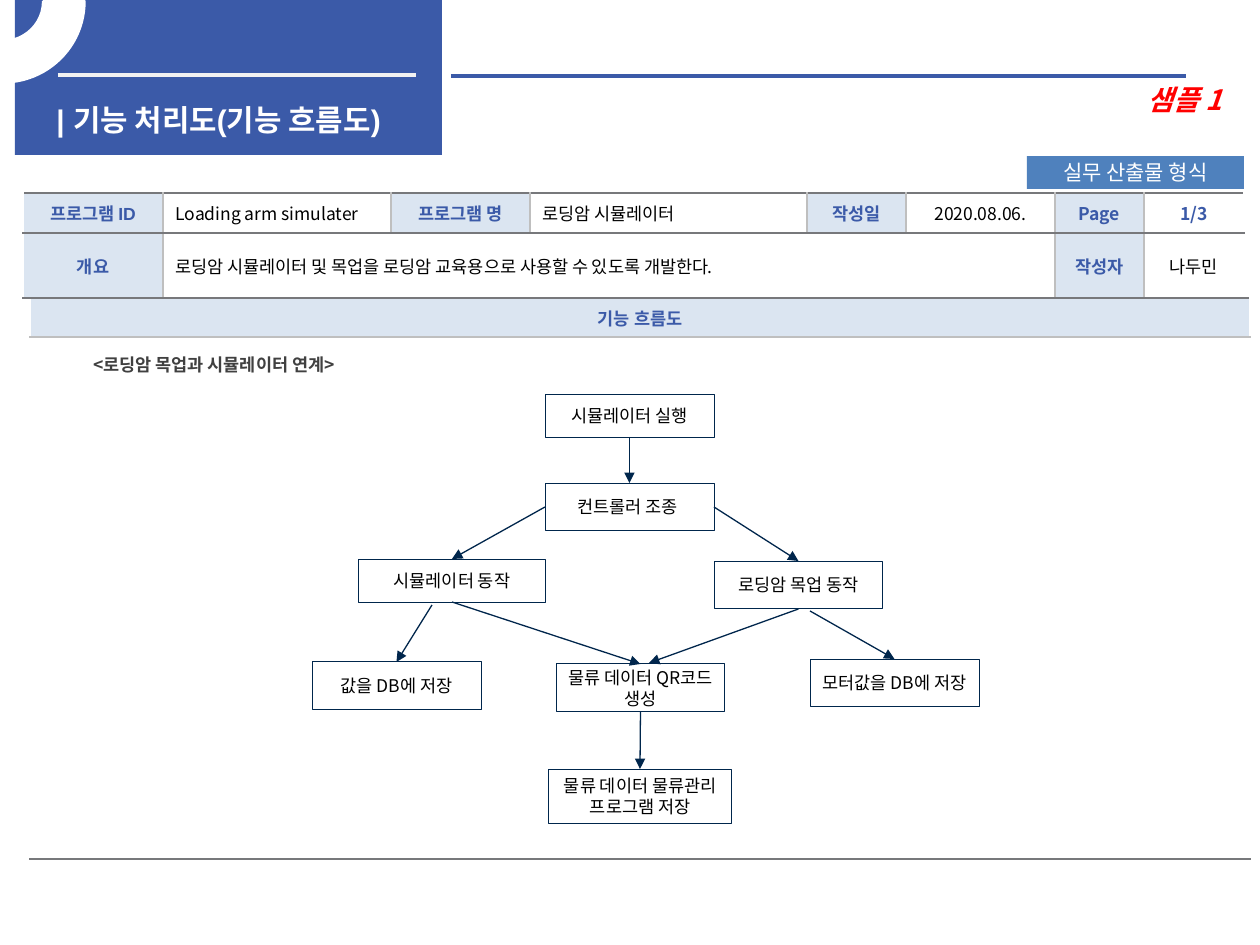
from lxml import etree
from pptx import Presentation
from pptx.dml.color import RGBColor
from pptx.enum.shapes import MSO_CONNECTOR, MSO_SHAPE
from pptx.enum.text import MSO_ANCHOR, PP_ALIGN
from pptx.oxml.ns import qn
from pptx.util import Emu, Pt

BLUE = RGBColor(0x3B, 0x5A, 0xA8)
BADGE = RGBColor(0x4F, 0x81, 0xBD)
PALE = RGBColor(0xB9, 0xCD, 0xE5)
NAVY = RGBColor(0x00, 0x26, 0x4C)
RED = RGBColor(0xFF, 0x00, 0x00)
BLACK = RGBColor(0x00, 0x00, 0x00)
CHARCOAL = RGBColor(0x40, 0x40, 0x40)
GRAY = RGBColor(0x77, 0x78, 0x7B)
SILVER = RGBColor(0xBF, 0xBF, 0xBF)
OFF_WHITE = RGBColor(0xF2, 0xF2, 0xF2)
WHITE = RGBColor(0xFF, 0xFF, 0xFF)

STRAIGHT = MSO_CONNECTOR.STRAIGHT
RECT, ARC = MSO_SHAPE.RECTANGLE, MSO_SHAPE.BLOCK_ARC
LEFT, CENTER, RIGHT = PP_ALIGN.LEFT, PP_ALIGN.CENTER, PP_ALIGN.RIGHT
MIDDLE = MSO_ANCHOR.MIDDLE
TOP_SIDE, LEFT_SIDE, BOTTOM_SIDE, RIGHT_SIDE = range(4)
KOREAN, LATIN = "Noto Sans CJK KR", "Arial"


def px(value):
    return Emu(round(value * 914400 / 126))


class Sheet:
    def __init__(self, slide):
        self.slide = slide
        self.shapes = slide.shapes

    def put_text(self, frame, text, color, size=10, bold=False, italic=False,
                 align=LEFT, font=KOREAN):
        frame.text = text
        frame.word_wrap = True
        paragraph = frame.paragraphs[0]
        paragraph.alignment = align
        for run in paragraph.runs:
            style = run.font
            style.name, style.size = font, Pt(size)
            style.bold, style.italic = bold, italic
            style.color.rgb = color
            etree.SubElement(style._element, qn("a:ea"), typeface=KOREAN)
        return paragraph

    def label(self, box, text, color, **style):
        frame = self.shapes.add_textbox(*map(px, box)).text_frame
        return self.put_text(frame, text, color, **style)

    def shape(self, kind, box, fill=None, line=None, width=1):
        shape = self.shapes.add_shape(kind, *map(px, box))
        shape.shadow.inherit = False
        if fill is None:
            shape.fill.background()
        else:
            shape.fill.solid()
            shape.fill.fore_color.rgb = fill
        if line is None:
            shape.line.fill.background()
        else:
            shape.line.color.rgb = line
            shape.line.width = Pt(width)
        return shape

    def step(self, box, text):
        shape = self.shape(RECT, box, line=NAVY, width=0.5)
        frame = shape.text_frame
        frame.margin_left = frame.margin_right = px(5)
        frame.margin_top = frame.margin_bottom = px(5)
        frame.vertical_anchor = MIDDLE
        self.put_text(frame, text, BLACK, align=CENTER)
        return shape

    def line(self, start, end, color, width):
        connector = self.shapes.add_connector(STRAIGHT, *map(px, start + end))
        connector.line.color.rgb = color
        connector.line.width = Pt(width)
        etree.SubElement(connector.element.spPr, qn("a:effectLst"))
        return connector

    def arrow(self, start, end):
        free_start, free_end = isinstance(start[0], int), isinstance(end[0], int)
        arrow = self.line(start if free_start else (0, 0),
                          end if free_end else (0, 0), NAVY, 0.75)
        if not free_start:
            arrow.begin_connect(*start)
        if not free_end:
            arrow.end_connect(*end)
        outline = arrow.element.spPr.find(qn("a:ln"))
        etree.SubElement(outline, qn("a:tailEnd"), type="triangle")

    def table(self, left, top, widths, heights):
        box = (left, top, sum(widths), sum(heights))
        table = self.shapes.add_table(len(heights), len(widths), *map(px, box)).table
        for column, width in zip(table.columns, widths):
            column.width = px(width)
        for row, height in zip(table.rows, heights):
            row.height = px(height)
        return table

    def style_cell(self, cell, fill, left, right, top, bottom):
        cell.vertical_anchor = MIDDLE
        properties = cell._tc.get_or_add_tcPr()
        if fill is None:
            cell.fill.background()
        else:
            cell.fill.solid()
            cell.fill.fore_color.rgb = fill
            tint = properties.find(".//" + qn("a:srgbClr"))
            etree.SubElement(tint, qn("a:alpha"), val="50000")
        for index, (side, color) in enumerate(zip("LRTB", (left, right, top, bottom))):
            border = etree.Element(qn("a:ln" + side), w=str(int(Pt(1))))
            solid = etree.SubElement(border, qn("a:solidFill"))
            etree.SubElement(solid, qn("a:srgbClr"), val=str(color))
            properties.insert(index, border)


def add_header(sheet):
    sheet.shape(RECT, (15, 0, 427, 155), BLUE)
    sheet.line((58, 75), (416, 75), OFF_WHITE, 2.25)
    sheet.line((451, 76), (1186, 76), BLUE, 2.25)
    sheet.label((44, 96, 387, 40), "| 기능 처리도(기능 흐름도)", WHITE,
                size=17, bold=True, font=LATIN)
    ring = sheet.shape(ARC, (-79, -79, 163, 161), WHITE, WHITE, 2)
    for index, value in enumerate((0, 54.41, 0.25)):
        ring.adjustments[index] = value
    sheet.label((530, 76, 704, 47), "샘플 1", RED, size=16, bold=True,
                italic=True, align=RIGHT)
    badge = sheet.shape(RECT, (1027, 156, 217, 33), BADGE)
    badge.text_frame.vertical_anchor = MIDDLE
    sheet.put_text(badge.text_frame, "실무 산출물 형식", WHITE, size=12, align=CENTER)


def add_flow_panel(sheet):
    panel = sheet.table(30, 298, [1220], [39, 522])
    heading = panel.cell(0, 0)
    sheet.style_cell(heading, PALE, WHITE, WHITE, GRAY, SILVER)
    sheet.style_cell(panel.cell(1, 0), None, WHITE, WHITE, SILVER, GRAY)
    sheet.put_text(heading.text_frame, "기능 흐름도", BLUE, bold=True, align=CENTER)
    caption = sheet.label((81, 344, 684, 35), "<로딩암 목업과 시뮬레이터 연계>",
                          CHARCOAL, bold=True)
    caption.line_spacing = 1.2
    caption.space_before = Pt(2)


def add_program_info(sheet):
    rows = [
        ["프로그램 ID", "Loading arm simulater", "프로그램 명", "로딩암 시뮬레이터",
         "작성일", "2020.08.06.", "Page", "1/3"],
        ["개요", "로딩암 시뮬레이터 및 목업을 로딩암 교육용으로 사용할 수 있도록 개발한다.",
         "", "", "", "", "작성자", "나두민"],
    ]
    info = sheet.table(23, 193, [140, 228, 139, 277, 99, 149, 89, 100], [40, 65])
    info.cell(1, 1).merge(info.cell(1, 5))
    for r, row in enumerate(rows):
        for c, text in enumerate(row):
            heading = c % 2 == 0 and text != ""
            left = WHITE if c == 0 else SILVER
            right = WHITE if c == len(row) - 1 else SILVER
            cell = info.cell(r, c)
            sheet.style_cell(cell, PALE if heading else None, left, right, GRAY, GRAY)
            if text:
                accent = heading or text == "1/3"
                sheet.put_text(cell.text_frame, text, BLUE if accent else BLACK, bold=accent,
                               align=LEFT if c in (1, 3) else CENTER,
                               font=LATIN if c == 0 else KOREAN)


def add_flow(sheet):
    launch = sheet.step((545, 394, 169, 43), "시뮬레이터 실행")
    control = sheet.step((545, 483, 169, 48), "컨트롤러 조종 ")
    simulator = sheet.step((358, 559, 188, 43), "시뮬레이터 동작")
    mockup = sheet.step((714, 561, 169, 48), "로딩암 목업 동작")
    value_db = sheet.step((312, 662, 169, 48), "값을 DB에 저장")
    motor_db = sheet.step((810, 659, 169, 48), "모터값을 DB에 저장")
    qr_code = sheet.step((556, 664, 169, 48), "물류 데이터 QR코드 생성")
    storage = sheet.step((548, 769, 184, 54), "물류 데이터 물류관리 프로그램 저장")
    for start, end in [
        ((launch, BOTTOM_SIDE), (control, TOP_SIDE)),
        ((control, LEFT_SIDE), (simulator, TOP_SIDE)),
        ((control, RIGHT_SIDE), (mockup, TOP_SIDE)),
        ((432, 605), (value_db, TOP_SIDE)),
        ((simulator, BOTTOM_SIDE), (qr_code, TOP_SIDE)),
        ((mockup, BOTTOM_SIDE), (649, 663)),
        ((810, 611), (motor_db, TOP_SIDE)),
        ((qr_code, BOTTOM_SIDE), (storage, TOP_SIDE)),
    ]:
        sheet.arrow(start, end)


def main():
    deck = Presentation()
    deck.slide_width, deck.slide_height = px(1260), px(945)
    sheet = Sheet(deck.slides.add_slide(deck.slide_layouts[6]))
    add_header(sheet)
    add_flow_panel(sheet)
    add_program_info(sheet)
    add_flow(sheet)
    deck.save("out.pptx")


if __name__ == "__main__":
    main()
